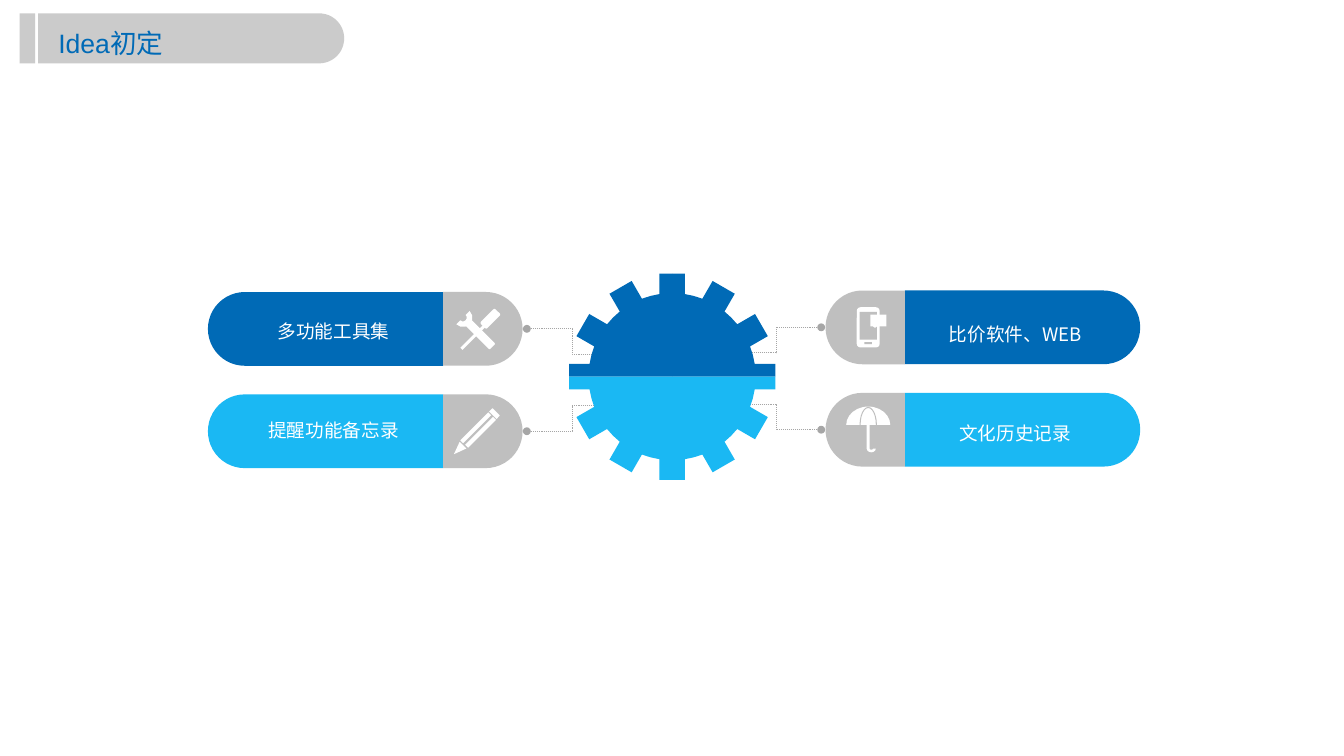
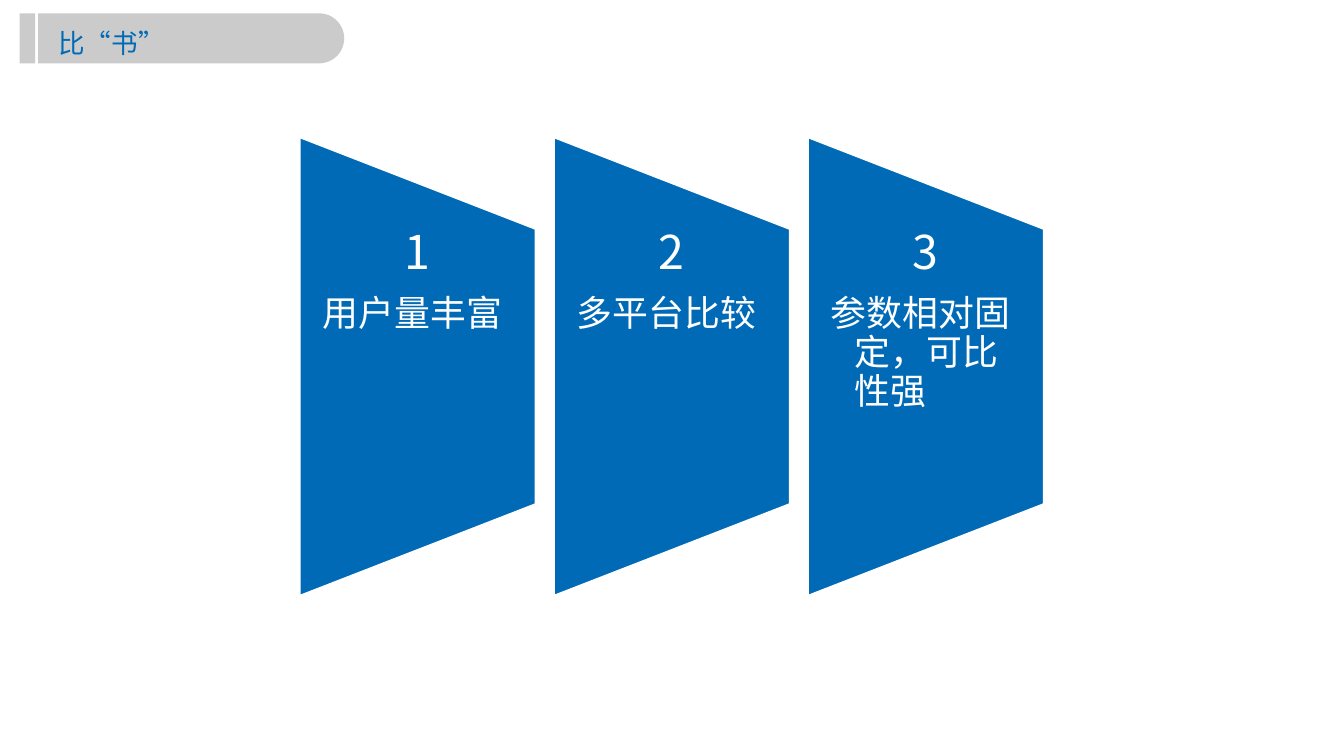
import math
from dataclasses import dataclass

import pptx
import pptx.dml.color
import pptx.enum.dml
import pptx.enum.shapes
import pptx.enum.text
import pptx.oxml
import pptx.oxml.ns
import pptx.util

Cm, Pt = pptx.util.Cm, pptx.util.Pt
SHAPE = pptx.enum.shapes.MSO_SHAPE
ALIGN = pptx.enum.text.PP_ALIGN
qn = pptx.oxml.ns.qn


@dataclass(frozen=True)
class Theme:
    blue: str = "006AB6"
    sky: str = "1AB8F3"
    grey: str = "BFBFBF"
    wire: str = "A6A6A6"
    white: str = "FFFFFF"
    title_font: str = "Arial"
    body_font: str = "Noto Sans CJK SC"
    title_size: int = 20
    label_size: int = 14
    number_size: int = 35
    reason_size: int = 27


THEME = Theme()

# Content
IDEA_TITLE = "Idea初定"
BOOK_TITLE = "比“书”"
REASONS = ["用户量丰富", "多平台比较", "参数相对固定，可比性强"]

# Cards: side (-1 left, 1 right), row, label, icon
CARDS = [
    (-1, 0, "多功能工具集", "tools"),
    (-1, 1, "提醒功能备忘录", "pencil"),
    (1, 0, "比价软件、WEB", "phone"),
    (1, 1, "文化历史记录", "umbrella"),
]
# Per side: pill centre, icon centre, row centres, label left edge, line spacing
SIDES = {
    -1: dict(centre=8.65, icon=12.67, rows=(8.74, 11.46), label=6.81, spacing=0.9),
    1: dict(centre=27.17, icon=23.07, rows=(8.70, 11.42), label=24.92, spacing=1.0),
}
ROW_COLOURS = (THEME.blue, THEME.sky)
LABEL_TOPS = (8.45, 11.07)

# Icon parts: preset, offset from icon centre, size, rotation, colour, arc thickness
RISING, FALLING = 315, 45
ICONS = {
    "tools": [
        (SHAPE.ROUNDED_RECTANGLE, (0.08, 0.14), (0.95, 0.22), FALLING, THEME.white, None),
        (SHAPE.BLOCK_ARC, (-0.37, -0.3), (0.5, 0.5), 135, THEME.white, 0.3),
        (SHAPE.ROUNDED_RECTANGLE, (0.36, -0.27), (0.55, 0.24), RISING, THEME.white, None),
        (SHAPE.RECTANGLE, (-0.11, 0.23), (0.85, 0.08), RISING, THEME.white, None),
    ],
    "pencil": [
        (SHAPE.ISOSCELES_TRIANGLE, (-0.49, 0.49), (0.25, 0.34), 225, THEME.white, None),
        (SHAPE.RECTANGLE, (-0.03, -0.09), (1.05, 0.11), RISING, THEME.white, None),
        (SHAPE.RECTANGLE, (0.1, 0.03), (1.05, 0.11), RISING, THEME.white, None),
        (SHAPE.ROUND_2_SAME_RECTANGLE, (0.47, -0.47), (0.28, 0.13), FALLING,
         THEME.white, None),
    ],
    "phone": [
        (SHAPE.ROUNDED_RECTANGLE, (0, 0), (0.61, 1.07), 0, THEME.white, None),
        (SHAPE.RECTANGLE, (0, -0.04), (0.46, 0.74), 0, THEME.grey, None),
        (SHAPE.RECTANGLE, (0, 0.42), (0.2, 0.05), 0, THEME.grey, None),
        (SHAPE.RECTANGULAR_CALLOUT, (0.27, -0.18), (0.43, 0.31), 0, THEME.white, None),
    ],
    "umbrella": [
        (SHAPE.BLOCK_ARC, (0, -0.13), (1.17, 0.97), 0, THEME.white, 0.5),
        (SHAPE.BLOCK_ARC, (0, -0.13), (0.46, 0.95), 0, THEME.grey, 0.06),
        (SHAPE.RECTANGLE, (0, 0.19), (0.08, 0.65), 0, THEME.white, None),
        (SHAPE.BLOCK_ARC, (0.08, 0.5), (0.24, 0.2), 180, THEME.white, 0.35),
    ],
}


# Drawing helpers
def rgb(colour):
    return pptx.dml.color.RGBColor.from_string(colour)


def paint(shape, colour, alpha=None, outline=None):
    shape.shadow.inherit = False
    shape.fill.solid()
    shape.fill.fore_color.rgb = rgb(colour)
    if alpha:
        tint = shape.fill._xPr.find(".//" + qn("a:srgbClr"))
        tint.append(tint.makeelement(qn("a:alpha"), {"val": str(alpha * 1000)}))
    if outline:
        shape.line.color.rgb = rgb(outline)
        shape.line.width = Pt(1.5)
    else:
        shape.line.fill.background()


def centred(slide, kind, cx, cy, width, height, rotation=0):
    """Add a preset by its centre; the size is the one before rotation."""
    shape = slide.shapes.add_shape(kind, Cm(cx - width / 2), Cm(cy - height / 2),
                                   Cm(width), Cm(height))
    shape.rotation = rotation
    return shape


def half_pill(slide, cx, cy, width, height, side, colour, alpha=None):
    pill = centred(slide, SHAPE.ROUND_2_SAME_RECTANGLE, cx, cy, height, width,
                   90 if side > 0 else 270)
    pill.adjustments[0] = 0.5
    pill.adjustments[1] = 0
    paint(pill, colour, alpha)


def text_box(slide, left, top, width, height, lines, margins=(0.25, 0.13, 0.25, 0.13)):
    """Each line is (text, size, font, colour, alignment, line spacing)."""
    frame = slide.shapes.add_textbox(Cm(left), Cm(top), Cm(width), Cm(height)).text_frame
    frame.word_wrap = True
    (frame.margin_left, frame.margin_top,
     frame.margin_right, frame.margin_bottom) = map(Cm, margins)
    frame.text = "\n".join(line[0] for line in lines)
    for paragraph, line in zip(frame.paragraphs, lines):
        _, size, font, colour, alignment, spacing = line
        paragraph.alignment = alignment
        paragraph.line_spacing = spacing
        run = paragraph.runs[0]
        run.font.size = Pt(size)
        run.font.color.rgb = rgb(colour)
        run.font.name = font
        latin = run.font._element.find(qn("a:latin"))
        latin.addnext(latin.makeelement(qn("a:ea"), {"typeface": THEME.body_font}))
    return frame


def wire(slide, start, end):
    link = slide.shapes.add_connector(pptx.enum.shapes.MSO_CONNECTOR.ELBOW,
                                      *map(Cm, start), *map(Cm, end))
    link.line.color.rgb = rgb(THEME.wire)
    link.line.width = Pt(0.75)
    link.line.dash_style = pptx.enum.dml.MSO_LINE.ROUND_DOT
    line = link.line._get_or_add_ln()
    for tip in ("a:headEnd", "a:tailEnd"):
        line.append(line.makeelement(qn(tip), {"type": "oval"}))
    properties = link._element.spPr
    properties.append(properties.makeelement(qn("a:effectLst"), {}))


# Shared header
def new_slide(deck, title):
    slide = deck.slides.add_slide(deck.slide_layouts[6])
    half_pill(slide, 5.08, 1.02, 8.13, 1.33, 1, THEME.grey, 80)
    paint(centred(slide, SHAPE.RECTANGLE, 0.73, 1.02, 0.41, 1.33), THEME.grey, 80)
    text_box(slide, 1.37, 0.46, 7.9, 1.12,
             [(title, THEME.title_size, THEME.title_font, THEME.blue, ALIGN.LEFT, 1.2)],
             (0.18, 0.1, 0.18, 0.1))
    return slide


# Gear
def gear_quarter():
    """Outline of the first quadrant, about the gear's centre."""
    tip, body, half_tooth = 2.74, 2.22, 0.34
    base = math.sqrt(body ** 2 - half_tooth ** 2)
    points = [(0, 0)]
    for tooth in range(4):
        angle = math.radians(30 * tooth)
        sin, cos = math.sin(angle), math.cos(angle)
        for radius, side in ((base, -1), (tip, -1), (tip, 1), (base, 1)):
            offset = side * half_tooth
            points.append((max(0, radius * sin + offset * cos),
                           max(0, radius * cos - offset * sin)))
        if tooth < 3:
            middle = angle + math.radians(15)
            points.append((body * math.sin(middle), body * math.cos(middle)))
    return points


def draw_gear(slide):
    cx, cy = 17.86, 10.01
    for down, colour in zip((-1, 1), ROW_COLOURS):
        for side in (-1, 1):
            outline = [(Cm(cx + side * x), Cm(cy + down * y)) for x, y in gear_quarter()]
            builder = slide.shapes.build_freeform(*outline[0])
            builder.add_line_segments(outline[1:], close=True)
            paint(builder.convert_to_shape(), colour)


# Idea slide
def draw_icon(slide, cx, cy, parts):
    for kind, (dx, dy), size, rotation, colour, thickness in parts:
        part = centred(slide, kind, cx + dx, cy + dy, *size, rotation)
        if thickness:
            part.adjustments[2] = thickness
        paint(part, colour)


def draw_card(slide, side, row, label, icon):
    place = SIDES[side]
    centre, cy = place["centre"], place["rows"][row]
    label_width, cap_width, height = 6.25, 2.11, 1.96
    half_pill(slide, centre, cy, label_width, height, side, ROW_COLOURS[row])
    half_pill(slide, centre - side * (label_width + cap_width) / 2, cy,
              cap_width, height, -side, THEME.grey)
    text_box(slide, place["label"], LABEL_TOPS[row], 4.11, 0.82,
             [(label, THEME.label_size, THEME.body_font, THEME.white,
               ALIGN.CENTER, place["spacing"])])
    draw_icon(slide, place["icon"], cy, ICONS[icon])


def build_idea(deck):
    slide = new_slide(deck, IDEA_TITLE)
    for side, row, _, _ in CARDS:
        outer = SIDES[side]["centre"] - side * 5.35
        cy = SIDES[side]["rows"][row]
        wire(slide, (outer - side * 2.4, cy + (0.68, -0.68)[row]), (outer, cy))
    draw_gear(slide)
    for card in CARDS:
        draw_card(slide, *card)


# Book slide
def build_book(deck):
    slide = new_slide(deck, BOOK_TITLE)
    first, step, width = 11.1, 6.75, 6.27
    for index, reason in enumerate(REASONS):
        cx = first + index * step
        panel = centred(slide, SHAPE.FLOWCHART_MANUAL_OPERATION, cx, 9.74,
                        12.19, width, 270)
        paint(panel, THEME.blue, outline=THEME.white)
        frame = text_box(
            slide, cx - width / 2, 6.1, width, 7.32,
            [(str(index + 1), THEME.number_size, THEME.body_font, THEME.white,
              ALIGN.CENTER, 0.9),
             (reason, THEME.reason_size, THEME.body_font, THEME.white, ALIGN.LEFT, 0.9)],
            (0.61, 0, 0.63, 0))
        number, body = frame.paragraphs
        number.space_after = Pt(12)
        hanging = body._p.get_or_add_pPr()
        hanging.set("marL", str(Cm(0.64)))
        hanging.set("indent", str(-Cm(0.64)))


def main():
    deck = pptx.Presentation()
    deck.slide_width, deck.slide_height = Cm(35.71), Cm(20.09)
    build_idea(deck)
    build_book(deck)
    deck.save("out.pptx")


if __name__ == "__main__":
    main()
